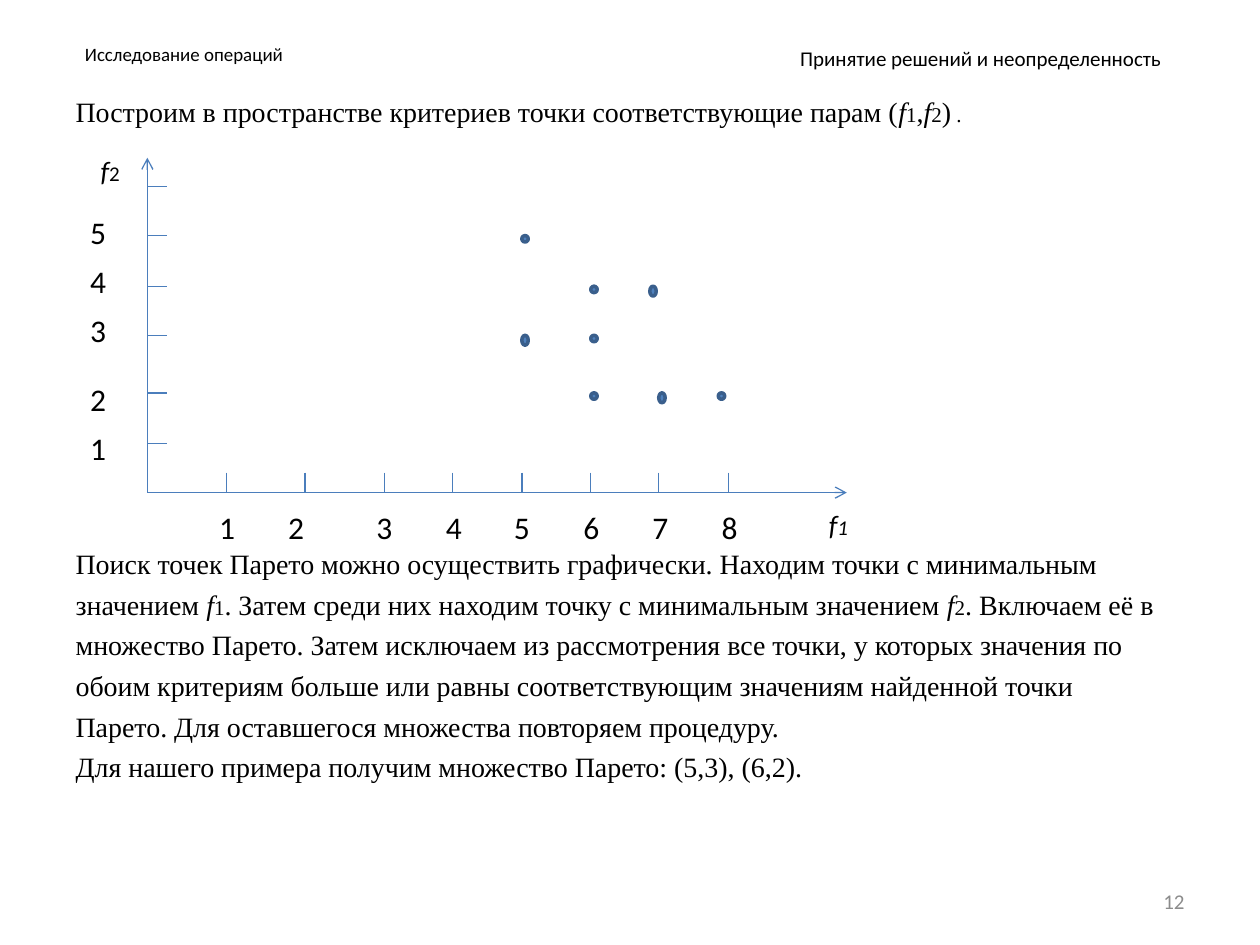
from dataclasses import dataclass

from lxml.etree import SubElement
from pptx import Presentation
from pptx.dml.color import RGBColor
from pptx.enum.shapes import MSO_CONNECTOR as Connector, MSO_SHAPE as Shape
from pptx.enum.text import MSO_ANCHOR as Anchor, MSO_AUTO_SIZE as AutoSize, PP_ALIGN as Align
from pptx.oxml.ns import qn
from pptx.util import Cm, Pt


@dataclass(frozen=True)
class Theme:
    """Fonts, type sizes in points and colours of the slide."""
    sans: str = "Calibri"
    serif: str = "Times New Roman"
    title: float = 10.8
    small: float = 12
    text: float = 16
    digit: float = 18
    ink: str = "000000"
    grey: str = "8C8C8C"
    axis: str = "4B7EBC"
    dot: str = "4F81BD"
    rim: str = "3A5F8C"


THEME = Theme()

# A span is (text, size, italic).
F = ("f", THEME.text, True)
SUB_1 = ("1", THEME.small, False)
SUB_2 = ("2", THEME.small, False)


def plain(text):
    """Return a span of running text."""
    return text, THEME.text, False


TITLE = [("Исследование операций", THEME.title, False)]
TOPIC = [("Принятие решений и неопределенность", THEME.small, False)]
NUMBER = [("12", THEME.small, False)]
BODY = [
    [plain("Построим в пространстве критериев точки соответствующие парам ("),
     F, SUB_1, plain(","), F, SUB_2, plain(")"), (" .", THEME.small, False)],
    [plain("Поиск точек Парето можно осуществить графически. Находим точки с минимальным")],
    [plain("значением "), F, SUB_1,
     plain(". Затем среди них находим точку с минимальным значением "),
     F, SUB_2, plain(". Включаем её в")],
    [plain("множество Парето. Затем исключаем из рассмотрения все точки, у которых значения по")],
    [plain("обоим критериям больше или равны соответствующим значениям найденной точки")],
    [plain("Парето. Для оставшегося множества повторяем процедуру.")],
    [plain("Для нашего примера получим множество Парето: (5,3), (6,2).")],
]
LINE_GAP, CHART_GAP = 4, 239.2  # points before a line, and before the text under the chart

# Plot geometry in centimetres.
ORIGIN_X, ORIGIN_Y = 2.97, 9.93
AXIS_TOP, AXIS_RIGHT = 3.18, 17.07
TICK = 0.4
X_TICKS = [4.57, 6.15, 7.75, 9.12, 10.52, 11.91, 13.28, 14.68]
Y_TICKS = [8.94, 7.92, 6.76, 5.77, 4.75, 3.76]
X_LABELS = [4.17, 5.56, 7.34, 8.74, 10.11, 11.51, 12.9, 14.3]  # left edges
Y_LABELS = [8.53, 7.54, 6.15, 5.16, 4.17]  # top edges
LABEL_ROW, LABEL_COLUMN, LABEL_SIZE = 10.11, 1.57, 1

# Each point is (f1, f2, shift to the right, height of the dot).
DOT, TALL = 0.13, 0.2
POINTS = [
    (5, 5, 0, DOT), (5, 3, 0, TALL), (6, 4, 0, DOT), (6, 2, 0, DOT),
    (6, 3, 0, DOT), (7, 4, -0.18, TALL), (8, 2, -0.2, DOT), (7, 2, 0, TALL),
]


def colour(value):
    """Turn a hex string into a colour."""
    return RGBColor.from_string(value)


def write(para, spans, font=THEME.sans, ink=THEME.ink):
    """Fill a paragraph with formatted spans."""
    for text, size, italic in spans:
        span = para.add_run()
        span.text = text
        span.font.name, span.font.size = font, Pt(size)
        span.font.italic, span.font.bold = italic, False
        span.font.color.rgb = colour(ink)


def place(shape, left, top, width, height):
    """Move and size a placeholder."""
    shape.left, shape.top, shape.width, shape.height = map(Cm, (left, top, width, height))


def add_label(page, spans, left, top, width=LABEL_SIZE, height=LABEL_SIZE,
              align=Align.LEFT, ink=THEME.ink, wrap=True):
    """Add a text box with one line and return its frame."""
    frame = page.shapes.add_textbox(*map(Cm, (left, top, width, height))).text_frame
    frame.word_wrap = wrap
    frame.paragraphs[0].alignment = align
    write(frame.paragraphs[0], spans, ink=ink)
    return frame


def add_line(page, x1, y1, x2, y2, arrow=False):
    """Add a thin line, with an arrowhead at its end if wanted."""
    line = page.shapes.add_connector(Connector.STRAIGHT, *map(Cm, (x1, y1, x2, y2)))
    line.line.color.rgb = colour(THEME.axis)
    line.line.width = Pt(0.75)
    if arrow:
        SubElement(line.line._get_or_add_ln(), qn("a:tailEnd"), type="arrow")
    SubElement(line._element.spPr, qn("a:effectLst"))


def add_dot(page, f1, f2, shift, height):
    """Add the dot of one pair of criteria."""
    left, top = X_TICKS[f1 - 1] + shift, Y_TICKS[f2 - 1]
    dot = page.shapes.add_shape(Shape.OVAL, *map(Cm, (left, top, DOT, height)))
    dot.shadow.inherit = False
    dot.fill.solid()
    dot.fill.fore_color.rgb = colour(THEME.dot)
    dot.line.color.rgb = colour(THEME.rim)
    dot.line.width = Pt(2)


def fill_placeholders(page):
    """Write the title and the body text."""
    title, body = page.shapes.title, page.placeholders[1]
    place(title, 1.27, 0.76, 4.88, 0.64)
    title.text_frame.auto_size = AutoSize.NONE
    title.text_frame.vertical_anchor = Anchor.MIDDLE
    title.text_frame.paragraphs[0].alignment = Align.CENTER
    write(title.text_frame.paragraphs[0], TITLE)

    place(body, 1.27, 1.78, 22.86, 15.24)
    frame = body.text_frame
    frame.auto_size = AutoSize.NONE
    for index, spans in enumerate(BODY):
        para = frame.add_paragraph() if index else frame.paragraphs[0]
        para.space_before = Pt(CHART_GAP if index == 1 else LINE_GAP)
        properties = para._p.get_or_add_pPr()
        properties.set("marL", "0")
        properties.set("indent", "0")
        SubElement(properties, qn("a:buNone"))
        write(para, spans, font=THEME.serif)


def draw_plot(page):
    """Draw the axes, ticks, labels and dots."""
    add_line(page, ORIGIN_X, ORIGIN_Y, ORIGIN_X, AXIS_TOP, arrow=True)
    add_line(page, ORIGIN_X, ORIGIN_Y, AXIS_RIGHT, ORIGIN_Y, arrow=True)
    add_label(page, [F, SUB_2], 1.78, 2.97, height=0.94)
    add_label(page, [F, ("1", THEME.small, True)], 16.46, LABEL_ROW, height=0.94)
    for x in X_TICKS:
        add_line(page, x, ORIGIN_Y - TICK, x, ORIGIN_Y)
    for y in Y_TICKS:
        add_line(page, ORIGIN_X, y, ORIGIN_X + TICK, y)
    for value, left in enumerate(X_LABELS, 1):
        add_label(page, [(str(value), THEME.digit, False)], left, LABEL_ROW)
    for value, top in enumerate(Y_LABELS, 1):
        add_label(page, [(str(value), THEME.digit, False)], LABEL_COLUMN, top)
    for point in POINTS:
        add_dot(page, *point)


def build():
    """Build and save the deck."""
    deck = Presentation()
    deck.slide_width, deck.slide_height = Cm(25.4), Cm(19.05)
    page = deck.slides.add_slide(deck.slide_layouts[1])
    fill_placeholders(page)
    number = add_label(page, NUMBER, 18.21, 17.65, 5.92, 1.02, Align.RIGHT, THEME.grey)
    number.vertical_anchor = Anchor.MIDDLE
    add_label(page, TOPIC, 15.88, 0.79, 7.87, 0.76, wrap=False)
    draw_plot(page)
    deck.save("out.pptx")


build()
